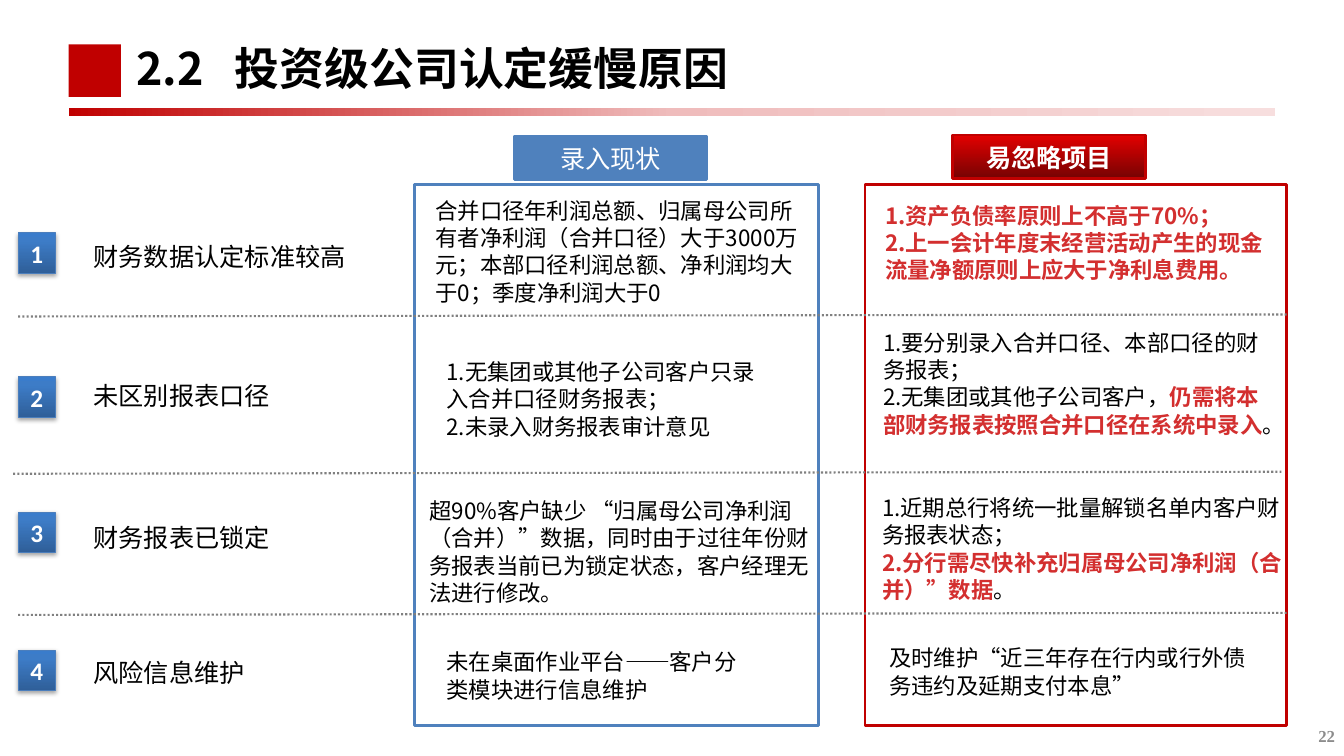
from lxml import etree
from pptx import Presentation
from pptx import util as u
from pptx.dml.color import RGBColor
from pptx.enum import dml, shapes, text
from pptx.oxml.ns import qn

COLORS = {
    "red": "C00000", "blue": "4F81BD", "badge_line": "4B7EBC", "highlight": "D32F2F",
    "black": "000000", "white": "FFFFFF", "rule": "808080", "number": "8C8C8C",
}
GRADIENTS = {  # angle, then (position, colour) stops
    "bar": (0, [(0, "C00000"), (50, "EFBCBC"), (100, "F7DEDE")]),
    "badge": (270, [(0, "2F5F99"), (80, "3D7CC7"), (100, "3A7CCB")]),
    "header": (90, [(0, "E30000"), (100, "760303")]),
}
CJK = "Noto Sans CJK SC"
LINE_HEIGHT = 1.22

# Columns and rows of the grid, in inches
BADGE_LEFT, LABEL_LEFT, STATUS_LEFT, IGNORED_LEFT = 0.18, 0.83, 4.11, 8.58
PANEL_TOP, PANEL_HEIGHT = 1.83, 5.37
HEADER_SIZE = (1.91, 0.43)
BADGE_SIZE = (0.37, 0.4)
RULES = [(0.18, 3.14), (0.13, 4.7), (0.18, 6.1)]
RULE_WIDTH, RULE_RISE = 12.58, 0.02

# Each row: label, badge top, label top, then (box, paragraphs) for both panels;
# text between bars is highlighted
ROWS = [
    ("财务数据认定标准较高", 2.31, 2.34,
     ((4.22, 1.9, 3.9, 1.18),
      ["合并口径年利润总额、归属母公司所有者净利润（合并口径）大于3000万元；"
       "本部口径利润总额、净利润均大于0；季度净利润大于0"]),
     ((8.68, 1.95, 4.08, 0.91),
      ["|1.资产负债率原则上不高于70%；|",
       "|2.上一会计年度末经营活动产生的现金流量净额原则上应大于净利息费用。|"])),
    ("未区别报表口径", 3.74, 3.72,
     ((4.33, 3.5, 3.44, 0.91),
      ["1.无集团或其他子公司客户只录入合并口径财务报表；",
       "2.未录入财务报表审计意见"]),
     ((8.66, 3.21, 3.97, 1.45),
      ["1.要分别录入合并口径、本部口径的财务报表；",
       "2.无集团或其他子公司客户，|仍需将本部财务报表按照合并口径在系统中录入|。"])),
    ("财务报表已锁定", 5.08, 5.13,
     ((4.16, 4.88, 4.15, 1.18),
      ["超90%客户缺少 “归属母公司净利润（合并）”数据，同时由于过往年份财务报表"
       "当前已为锁定状态，客户经理无法进行修改。"]),
     ((8.65, 4.85, 4.33, 1.18),
      ["1.近期总行将统一批量解锁名单内客户财务报表状态；",
       "|2.分行需尽快补充归属母公司净利润（合并）”数据|。"])),
    ("风险信息维护", 6.45, 6.47,
     ((4.33, 6.38, 3.13, 0.64),
      ["未在桌面作业平台——客户分类模块进行信息维护"]),
     ((8.72, 6.34, 3.92, 0.64),
      ["及时维护“近三年存在行内或行外债务违约及延期支付本息”"])),
]


def inches(*lengths):
    return [u.Inches(length) for length in lengths]


def color(name):
    return RGBColor.from_string(COLORS[name])


def write(shape, paragraphs, size=16, font=CJK, ink="black", bold=False,
          align=text.PP_ALIGN.LEFT, anchor=text.MSO_ANCHOR.TOP, tab=None):
    """Fill a shape with formatted paragraphs."""
    frame = shape.text_frame
    frame.word_wrap = True
    frame.auto_size = text.MSO_AUTO_SIZE.NONE
    frame.vertical_anchor = anchor
    for index, content in enumerate(paragraphs):
        paragraph = frame.add_paragraph() if index else frame.paragraphs[0]
        paragraph.alignment = align
        paragraph.space_before = u.Pt(0)
        paragraph.line_spacing = u.Pt(round(size * LINE_HEIGHT, 1))
        if tab:
            properties = paragraph._p.get_or_add_pPr()
            tabs = etree.SubElement(properties, qn("a:tabLst"))
            etree.SubElement(tabs, qn("a:tab"), pos=str(u.Inches(tab)), algn="l")
        for part, piece in enumerate(content.split("|")):
            if not piece:
                continue
            marked = part % 2 == 1
            run = paragraph.add_run()
            run.text = piece
            run.font.size = u.Pt(size)
            run.font.bold = bold or marked
            run.font.color.rgb = color("highlight" if marked else ink)
            run.font.name = font
            etree.SubElement(run.font._element, qn("a:ea"), typeface=CJK)


def add_text(slide, box, paragraphs, **style):
    write(slide.shapes.add_textbox(*inches(*box)), paragraphs, **style)


def set_gradient(shape, name):
    angle, stops = GRADIENTS[name]
    shape.fill.gradient()
    gradient = shape.element.spPr.find(qn("a:gradFill"))
    for child in list(gradient):
        gradient.remove(child)
    stop_list = etree.SubElement(gradient, qn("a:gsLst"))
    for position, value in stops:
        stop = etree.SubElement(stop_list, qn("a:gs"), pos=str(position * 1000))
        etree.SubElement(stop, qn("a:srgbClr"), val=value)
    etree.SubElement(gradient, qn("a:lin"), ang=str(angle * 60000), scaled="0")


def add_box(slide, box, fill=None, gradient=None, line=None, line_width=2):
    shape = slide.shapes.add_shape(shapes.MSO_SHAPE.RECTANGLE, *inches(*box))
    shape.shadow.inherit = False
    if gradient:
        set_gradient(shape, gradient)
    else:
        shape.fill.solid()
        shape.fill.fore_color.rgb = color(fill)
    if line:
        shape.line.color.rgb = color(line)
        shape.line.width = u.Pt(line_width)
    else:
        shape.line.fill.background()
    return shape


def add_header(slide, left, top, caption, bold=False, **look):
    header = add_box(slide, (left, top, *HEADER_SIZE), **look)
    write(header, [caption], size=18, font="Calibri", ink="white", bold=bold,
          align=text.PP_ALIGN.CENTER, anchor=text.MSO_ANCHOR.MIDDLE)


def add_badge(slide, top, number):
    badge = add_box(slide, (BADGE_LEFT, top, *BADGE_SIZE), gradient="badge",
                    line="badge_line", line_width=0.75)
    effects = badge.element.spPr.find(qn("a:effectLst"))
    shadow = etree.SubElement(effects, qn("a:outerShdw"), blurRad=str(u.Pt(3.1)),
                              dist=str(u.Pt(1.8)), dir="5400000", rotWithShape="0")
    shade = etree.SubElement(shadow, qn("a:srgbClr"), val=COLORS["black"])
    etree.SubElement(shade, qn("a:alpha"), val="35000")
    write(badge, [str(number)], size=18, font="Calibri", ink="white", bold=True,
          align=text.PP_ALIGN.CENTER, anchor=text.MSO_ANCHOR.MIDDLE)


def add_rule(slide, left, top):
    rule = slide.shapes.add_connector(
        shapes.MSO_CONNECTOR.STRAIGHT,
        *inches(left, top, left + RULE_WIDTH, top - RULE_RISE))
    rule.line.color.rgb = color("rule")
    rule.line.width = u.Pt(1.5)
    rule.line.dash_style = dml.MSO_LINE.ROUND_DOT
    etree.SubElement(rule.element.spPr, qn("a:effectLst"))


def main():
    presentation = Presentation()
    presentation.slide_width, presentation.slide_height = inches(13.33, 7.5)
    slide = presentation.slides.add_slide(presentation.slide_layouts[5])

    # Title with red block and fading bar
    title = slide.shapes.title
    title.left, title.top, title.width, title.height = inches(1.25, 0.28, 7.65, 0.77)
    write(title, ["2.2\t投资级公司认定缓慢原因"], size=32, bold=True,
          anchor=text.MSO_ANCHOR.MIDDLE, tab=0.98)
    add_box(slide, (0.68, 0.44, 0.52, 0.52), fill="red")
    add_box(slide, (0.68, 1.07, 11.97, 0.08), gradient="bar")

    # Panels and their headers
    add_box(slide, (IGNORED_LEFT, PANEL_TOP, 4.18, PANEL_HEIGHT), fill="white", line="red")
    add_box(slide, (STATUS_LEFT, PANEL_TOP, 4.01, PANEL_HEIGHT), fill="white", line="blue")
    add_header(slide, 5.1, 1.35, "录入现状", fill="blue", line="blue")
    add_header(slide, 9.45, 1.34, "易忽略项目", bold=True, gradient="header", line="red")

    # Numbered rows
    for number, (label, badge_top, label_top, *cells) in enumerate(ROWS, 1):
        add_badge(slide, badge_top, number)
        add_text(slide, (LABEL_LEFT, label_top, 3.26, 0.4), [label], size=18, font="Calibri")
        for box, paragraphs in cells:
            add_text(slide, box, paragraphs)

    # Dotted rules between rows, then the page number
    for left, top in RULES:
        add_rule(slide, left, top)
    add_text(slide, (12.64, 7.1, 0.7, 0.4), ["22"], size=12, font="Times New Roman",
             ink="number", bold=True, align=text.PP_ALIGN.RIGHT,
             anchor=text.MSO_ANCHOR.MIDDLE)

    presentation.save("out.pptx")


if __name__ == "__main__":
    main()
